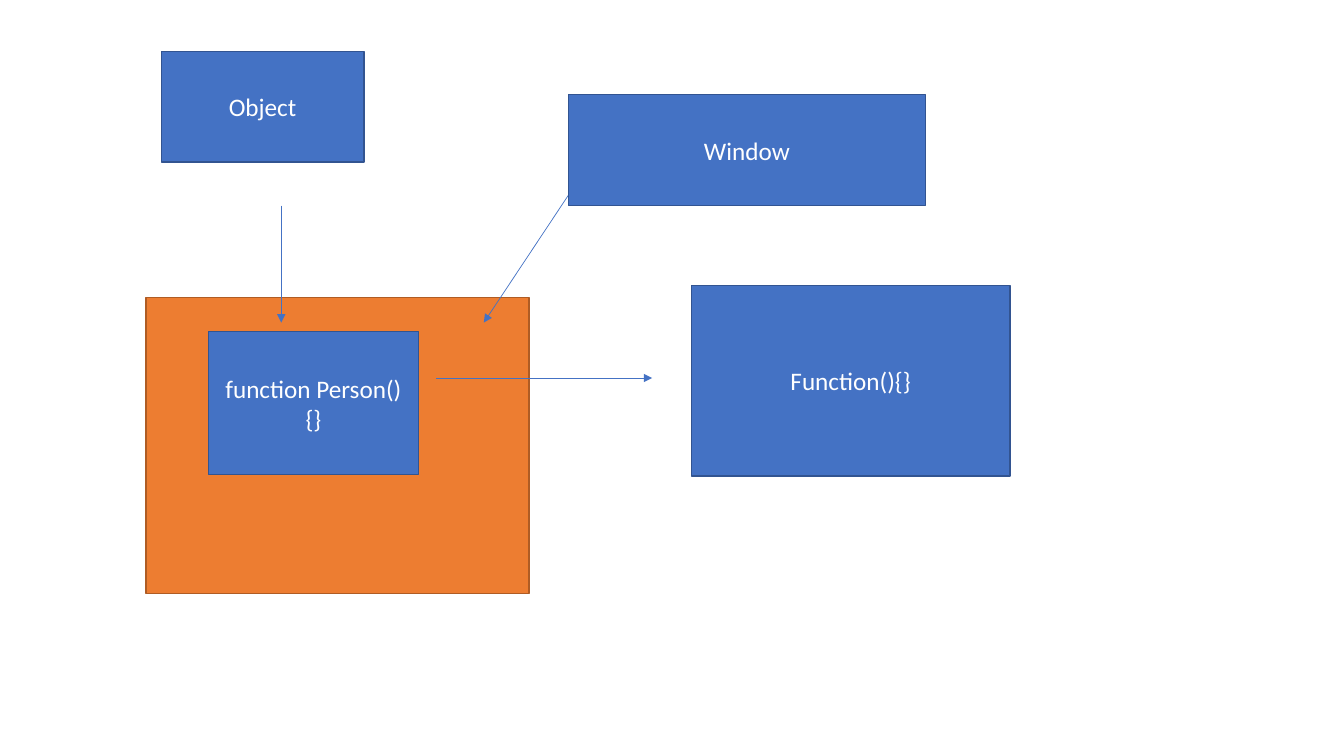
from dataclasses import dataclass

from lxml import etree
from pptx import Presentation
from pptx.dml.color import RGBColor
from pptx.enum.shapes import MSO_CONNECTOR, MSO_SHAPE
from pptx.enum.text import MSO_ANCHOR, PP_ALIGN
from pptx.oxml.ns import qn
from pptx.slide import Slide
from pptx.util import Pt

RECTANGLE = MSO_SHAPE.RECTANGLE
STRAIGHT = MSO_CONNECTOR.STRAIGHT
MIDDLE = MSO_ANCHOR.MIDDLE
CENTER = PP_ALIGN.CENTER


@dataclass(frozen=True)
class Theme:
    blue: str = "4472C4"
    blue_edge: str = "325491"
    orange: str = "ED7D31"
    orange_edge: str = "AF5C24"
    white: str = "FFFFFF"
    font: str = "Calibri"
    text_size: float = 18
    edge_width: float = 1
    arrow_width: float = 0.5


THEME = Theme()


@dataclass(frozen=True)
class Box:
    left: float
    top: float
    width: float
    height: float
    text: str = ""
    fill: str = THEME.blue
    edge: str = THEME.blue_edge


@dataclass(frozen=True)
class Arrow:
    start_x: float
    start_y: float
    end_x: float
    end_y: float


# Listed from back to front: the arrow from Window starts behind its box.
DIAGRAM: tuple[Box | Arrow, ...] = (
    Box(104.4, 212.4, 273.6, 211.7, fill=THEME.orange, edge=THEME.orange_edge),
    Box(115.2, 36.7, 144.7, 79.2, "Object"),
    Arrow(200.9, 146.9, 200.9, 230.4),
    Box(149, 236.9, 149.8, 102.2, "function Person(){}"),
    Arrow(311.8, 270, 465.8, 270),
    Box(493.9, 203.8, 227.5, 136.1, "Function(){}"),
    Arrow(414, 127.4, 345.6, 230.4),
    Box(406.1, 67.7, 254.9, 79.2, "Window"),
)


def draw_box(slide: Slide, box: Box) -> None:
    shape = slide.shapes.add_shape(
        RECTANGLE, Pt(box.left), Pt(box.top), Pt(box.width), Pt(box.height)
    )
    shape.shadow.inherit = False
    shape.fill.solid()
    shape.fill.fore_color.rgb = RGBColor.from_string(box.fill)
    shape.line.color.rgb = RGBColor.from_string(box.edge)
    shape.line.width = Pt(THEME.edge_width)
    if box.text:
        write_label(shape.text_frame, box.text)


def write_label(text_frame, text: str) -> None:
    text_frame.word_wrap = True
    text_frame.vertical_anchor = MIDDLE
    paragraph = text_frame.paragraphs[0]
    paragraph.alignment = CENTER
    run = paragraph.add_run()
    run.text = text
    font_format = {"name": THEME.font, "size": Pt(THEME.text_size)}
    for attribute, value in font_format.items():
        setattr(run.font, attribute, value)
    run.font.color.rgb = RGBColor.from_string(THEME.white)


def draw_arrow(slide: Slide, arrow: Arrow) -> None:
    connector = slide.shapes.add_connector(
        STRAIGHT,
        Pt(arrow.start_x), Pt(arrow.start_y), Pt(arrow.end_x), Pt(arrow.end_y),
    )
    connector.line.color.rgb = RGBColor.from_string(THEME.blue)
    connector.line.width = Pt(THEME.arrow_width)
    properties = connector._element.spPr
    etree.SubElement(properties.find(qn("a:ln")), qn("a:tailEnd"), type="triangle")
    etree.SubElement(properties, qn("a:effectLst"))


def main() -> None:
    presentation = Presentation()
    presentation.slide_width = Pt(960)
    presentation.slide_height = Pt(540)
    slide = presentation.slides.add_slide(presentation.slide_layouts[6])
    for item in DIAGRAM:
        if isinstance(item, Box):
            draw_box(slide, item)
        else:
            draw_arrow(slide, item)
    presentation.save("out.pptx")


if __name__ == "__main__":
    main()
